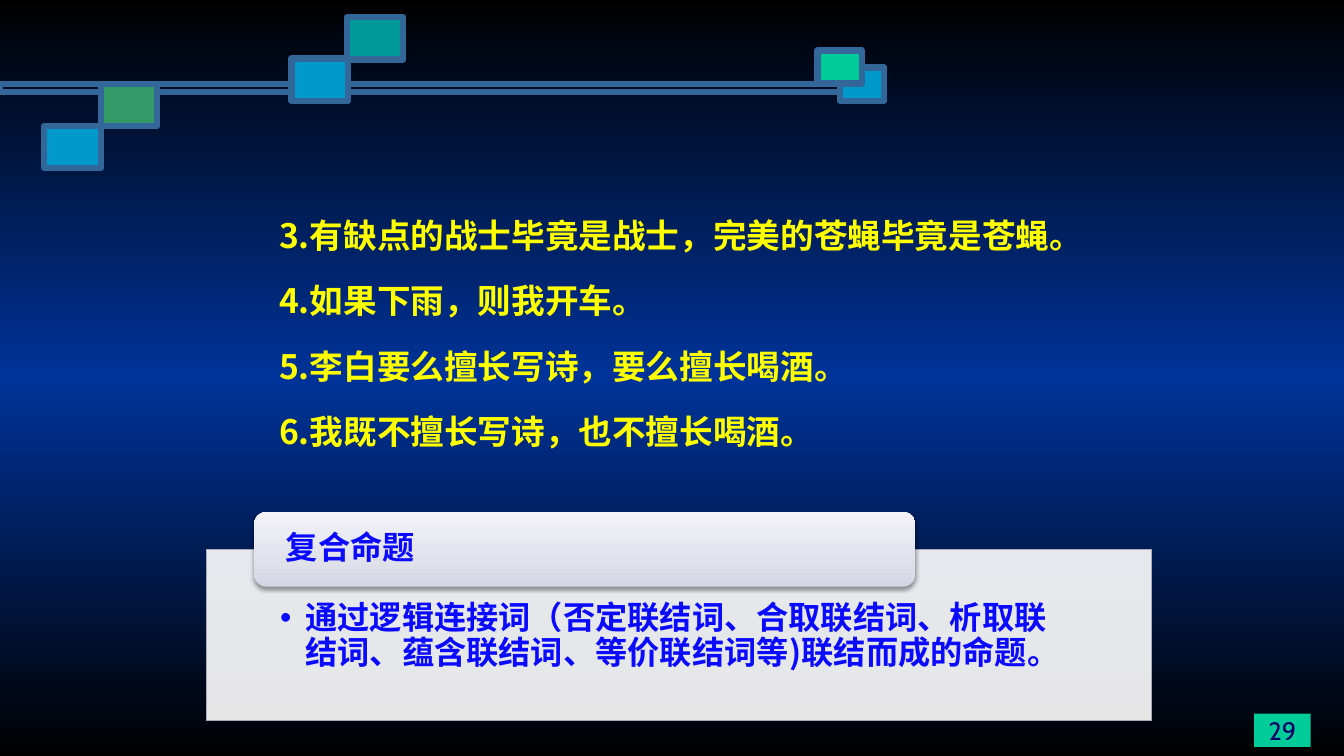
from lxml import etree
from pptx import Presentation
from pptx.dml.color import RGBColor
from pptx.enum.shapes import MSO_SHAPE
from pptx.enum.text import MSO_ANCHOR, PP_ALIGN
from pptx.oxml.ns import qn
from pptx.util import Pt

EMU_PER_PX = 9144
RECTANGLE = MSO_SHAPE.RECTANGLE
ROUNDED = MSO_SHAPE.ROUNDED_RECTANGLE
TOP, MIDDLE = MSO_ANCHOR.TOP, MSO_ANCHOR.MIDDLE
LEFT, CENTER = PP_ALIGN.LEFT, PP_ALIGN.CENTER
BLANK_LAYOUT = 6


def px(value):
    return value * EMU_PER_PX


def color(value):
    return RGBColor.from_string(value)


def add_child(parent, tag, **attributes):
    child = etree.SubElement(parent, qn(tag))
    for name, value in attributes.items():
        child.set(name, str(value))
    return child


def set_gradient(fill, element, stops, angle):
    fill.gradient()
    fill.gradient_angle = angle
    stop_list = element.find(".//" + qn("a:gsLst"))
    for stop in list(stop_list):
        stop_list.remove(stop)
    for position, value in stops:
        stop = add_child(stop_list, "a:gs", pos=position * 1000)
        add_child(stop, "a:srgbClr", val=value)


def write_text(frame, lines, size, text_color, font="Noto Sans CJK SC", bold=True,
               insets=(10, 5, 10, 5), anchor=TOP, align=LEFT, wrap=True,
               gap=0, spacing=None, bullet=None, indent=0):
    frame.word_wrap = wrap
    frame.vertical_anchor = anchor
    (frame.margin_left, frame.margin_top,
     frame.margin_right, frame.margin_bottom) = map(px, insets)
    for index, line in enumerate(lines):
        paragraph = frame.add_paragraph() if index else frame.paragraphs[0]
        if bullet:
            properties = paragraph._p.get_or_add_pPr()
            properties.set("marL", str(px(indent)))
            properties.set("indent", str(-px(indent)))
            add_child(properties, "a:buFont", typeface="Arial")
            add_child(properties, "a:buChar", char=bullet)
        paragraph.alignment = align
        paragraph.line_spacing = spacing
        if index:
            paragraph.space_before = Pt(gap)
        run = paragraph.add_run()
        run.text = line
        run.font.size = Pt(size)
        run.font.bold = bold
        run.font.color.rgb = color(text_color)
        run.font.name = font
        add_child(run._r.get_or_add_rPr(), "a:ea", typeface=font)


class SlideBuilder:
    border = "336699"
    accent = "0A0AFF"

    def __init__(self, slide):
        self.slide = slide

    def background(self, stops, angle):
        set_gradient(self.slide.background.fill, self.slide._element, stops, angle)

    def box(self, left, top, width, height, kind=RECTANGLE, fill=None, line=None, weight=4.5):
        shape = self.slide.shapes.add_shape(kind, px(left), px(top), px(width), px(height))
        shape.shadow.inherit = False
        if fill:
            shape.fill.solid()
            shape.fill.fore_color.rgb = color(fill)
        else:
            shape.fill.background()
        if line:
            shape.line.color.rgb = color(line)
            shape.line.width = Pt(weight)
        else:
            shape.line.fill.background()
        return shape

    def tile(self, left, top, width, height, fill=None):
        return self.box(left, top, width, height, fill=fill, line=self.border)

    def text(self, left, top, width, height, lines, **text_format):
        shape = self.slide.shapes.add_textbox(px(left), px(top), px(width), px(height))
        write_text(shape.text_frame, lines, **text_format)

    def card(self, left, top, width, height, lines, **text_format):
        shape = self.box(left, top, width, height, fill="FFFFFF", line="AAAAB8", weight=0.75)
        fill_color = shape._element.spPr.find(qn("a:solidFill"))[0]
        add_child(fill_color, "a:alpha", val=90000)
        write_text(shape.text_frame, lines, size=23, text_color=self.accent,
                   spacing=0.9, **text_format)

    def tab(self, left, top, width, height, lines, **text_format):
        shape = self.box(left, top, width, height, kind=ROUNDED)
        stops = [(0, "D5D5E4"), (35, "E1E1EC"), (100, "F3F3F8")]
        set_gradient(shape.fill, shape._element, stops, 90)
        effects = shape._element.spPr.find(qn("a:effectLst"))
        shadow = add_child(effects, "a:outerShdw", blurRad=Pt(3.1), dist=Pt(1.6),
                           dir=5400000, rotWithShape=0)
        add_child(add_child(shadow, "a:srgbClr", val="000000"), "a:alpha", val=38000)
        write_text(shape.text_frame, lines, size=23, text_color=self.accent,
                   spacing=0.9, anchor=MIDDLE, **text_format)


def main():
    presentation = Presentation()
    presentation.slide_width = px(1333)
    presentation.slide_height = px(750)
    slide = presentation.slides.add_slide(presentation.slide_layouts[BLANK_LAYOUT])
    builder = SlideBuilder(slide)
    builder.background([(0, "000000"), (50, "003399"), (100, "000000")], 270)

    builder.tile(0, 83, 856, 8)
    for left, top, fill in [(833, 67, "0099CC"), (811, 50, "00CC99")]:
        builder.tile(left, top, 44, 33, fill)
    for left, top, fill in [(289, 58, "0099CC"), (44, 125, "0099CC"),
                            (100, 83, "339966"), (344, 17, "009999")]:
        builder.tile(left, top, 56, 42, fill)

    examples = [
        "3.有缺点的战士毕竟是战士，完美的苍蝇毕竟是苍蝇。",
        "4.如果下雨，则我开车。",
        "5.李白要么擅长写诗，要么擅长喝酒。",
        "6.我既不擅长写诗，也不擅长喝酒。",
    ]
    builder.text(267, 208, 825, 293, examples, size=24, text_color="FFFF00",
                 gap=18, insets=(10, 5, 15, 5))

    number = builder.box(1244, 708, 56, 33, fill="00CC99")
    write_text(number.text_frame, ["29"], size=18, text_color="000066", font="Cabin",
               bold=False, anchor=MIDDLE, align=CENTER, wrap=False)

    definition = "通过逻辑连接词（否定联结词、合取联结词、析取联结词、蕴含联结词、等价联结词等)联结而成的命题。"
    builder.card(205, 545, 937, 170, [definition], insets=(73, 52, 73, 18),
                 bullet="•", indent=25)
    builder.tab(252, 508, 656, 74, ["复合命题"], insets=(28, 0, 28, 0))

    presentation.save("out.pptx")


if __name__ == "__main__":
    main()
